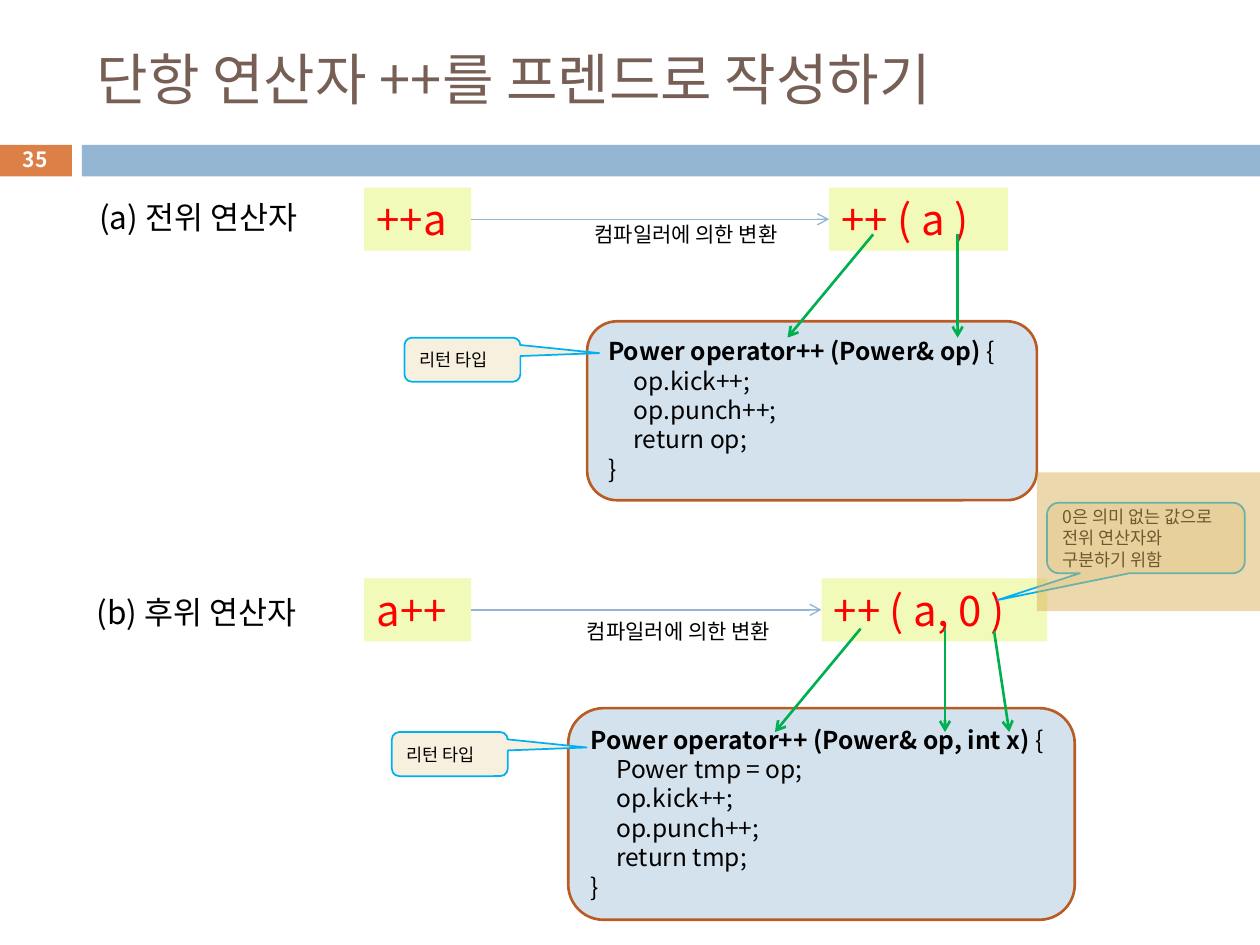
from dataclasses import dataclass

from lxml.etree import SubElement
from pptx import Presentation
from pptx.dml.color import RGBColor
from pptx.enum.shapes import MSO_CONNECTOR as Connector, MSO_SHAPE as Preset
from pptx.enum.text import MSO_ANCHOR as Anchor, PP_ALIGN as Align
from pptx.oxml.ns import qn
from pptx.util import Inches, Pt

FONT = "Noto Sans CJK KR"
BLACK, RED, GREEN, BLUE = "000000", "FF0000", "00B050", "94B6D2"


@dataclass
class Box:
    left: float
    top: float
    width: float
    height: float


@dataclass
class Callout:
    text: str
    box: Box
    tip: tuple[float, float]


@dataclass
class Section:
    label: str
    label_box: Box
    call: str
    call_box: Box
    converted: str
    converted_box: Box
    note_box: Box
    signature: str
    body: list[str]
    code_box: Box
    arrows: list[tuple[float, float, float, float]]
    callout: Callout


def color(value: str) -> RGBColor:
    return RGBColor.from_string(value)


def add_box(slide, box: Box, fill: str, preset=Preset.RECTANGLE, line: str = "", weight: float = 1):
    shape = slide.shapes.add_shape(
        preset, Inches(box.left), Inches(box.top), Inches(box.width), Inches(box.height))
    shape.shadow.inherit = False
    shape.fill.solid()
    shape.fill.fore_color.rgb = color(fill)
    if line:
        shape.line.color.rgb = color(line)
        shape.line.width = Pt(weight)
    else:
        shape.line.fill.background()
    return shape


def add_run(paragraph, text: str, size: float, ink: str, bold: bool = False) -> None:
    run = paragraph.add_run()
    run.text = text
    for name, value in {"name": FONT, "size": Pt(size), "bold": bold}.items():
        setattr(run.font, name, value)
    run.font.color.rgb = color(ink)
    SubElement(run.font._element, qn("a:ea")).set("typeface", FONT)


def set_text(shape, text: str, size: float, ink: str = BLACK, anchor=Anchor.TOP,
             align=Align.LEFT, bold: bool = False) -> None:
    frame = shape.text_frame
    for name, value in {"word_wrap": True, "vertical_anchor": anchor}.items():
        setattr(frame, name, value)
    paragraph = frame.paragraphs[0]
    paragraph.alignment = align
    add_run(paragraph, text, size, ink, bold)


def add_label(slide, box: Box, text: str, size: float, **formats) -> None:
    shape = slide.shapes.add_textbox(
        Inches(box.left), Inches(box.top), Inches(box.width), Inches(box.height))
    set_text(shape, text, size, **formats)


def add_arrow(slide, points: tuple[float, float, float, float], ink: str, weight: float):
    arrow = slide.shapes.add_connector(Connector.STRAIGHT, *map(Inches, points))
    arrow.line.color.rgb = color(ink)
    arrow.line.width = Pt(weight)
    SubElement(arrow.line._get_or_add_ln(), qn("a:tailEnd")).set("type", "arrow")
    SubElement(arrow._element.spPr, qn("a:effectLst"))
    return arrow


def add_code(slide, section: Section) -> None:
    shape = add_box(slide, section.code_box, "D4E2ED", Preset.ROUNDED_RECTANGLE, "B95B22", 1.5)
    set_text(shape, section.signature + " ", 14, bold=True)
    frame = shape.text_frame
    add_run(frame.paragraphs[0], "{", 14, BLACK)
    for statement in [*(f"\t{line}" for line in section.body), "}"]:
        paragraph = frame.add_paragraph()
        paragraph.alignment = Align.LEFT
        stops = SubElement(paragraph._p.get_or_add_pPr(), qn("a:tabLst"))
        SubElement(stops, qn("a:tab"), pos=str(Inches(0.2)), algn="l")
        add_run(paragraph, statement, 14, BLACK)


def add_callout(slide, callout: Callout) -> None:
    shape = add_box(slide, callout.box, "F7F0DE", Preset.ROUNDED_RECTANGULAR_CALLOUT, "00B0F0")
    for index, value in enumerate((*callout.tip, 0.17)):
        shape.adjustments[index] = value
    set_text(shape, callout.text, 10, anchor=Anchor.MIDDLE)


def add_section(slide, section: Section) -> None:
    ends = []
    for text, box in ((section.call, section.call_box), (section.converted, section.converted_box)):
        shape = add_box(slide, box, "F1FAB8")
        set_text(shape, text, 24, RED)
        ends.append(shape)
    conversion = add_arrow(slide, (0, 0, 1, 1), BLUE, 0.79)
    conversion.begin_connect(ends[0], 3)
    conversion.end_connect(ends[1], 1)
    add_code(slide, section)
    add_label(slide, section.note_box, "컴파일러에 의한 변환", 12)
    add_label(slide, section.label_box, section.label, 18)
    add_callout(slide, section.callout)
    for points in section.arrows:
        add_arrow(slide, points, GREEN, 1.5)


SECTIONS = [
    Section(
        "(a) 전위 연산자", Box(0.69, 1.52, 1.93, 0.4),
        "++a", Box(2.89, 1.49, 0.85, 0.5),
        "++ ( a )", Box(6.58, 1.49, 1.42, 0.5),
        Box(4.62, 1.71, 2.06, 0.3),
        "Power operator++ (Power& op)",
        ["op.kick++;", "op.punch++;", "return op;"],
        Box(4.66, 2.55, 3.57, 1.42),
        [(6.93, 1.86, 6.25, 2.68), (7.6, 1.86, 7.6, 2.68)],
        Callout("리턴 타입", Box(3.21, 2.68, 0.92, 0.35), (1.18, -0.15)),
    ),
    Section(
        "(b) 후위 연산자", Box(0.67, 4.66, 1.95, 0.4),
        "a++", Box(2.89, 4.59, 0.85, 0.5),
        "++ ( a, 0 )", Box(6.52, 4.59, 1.79, 0.5),
        Box(4.56, 4.86, 2.06, 0.3),
        "Power operator++ (Power& op, int x)",
        ["Power tmp = op;", "op.kick++;", "op.punch++;", "return tmp;"],
        Box(4.51, 5.62, 4.02, 1.68),
        [(6.83, 4.99, 6.15, 5.81), (7.5, 4.99, 7.5, 5.81), (7.89, 5.01, 8.01, 5.81)],
        Callout("리턴 타입", Box(3.11, 5.81, 0.92, 0.35), (1.18, -0.15)),
    ),
]


def main() -> None:
    presentation = Presentation()
    presentation.slide_width, presentation.slide_height = Inches(10), Inches(7.5)
    slide = presentation.slides.add_slide(presentation.slide_layouts[6])
    add_box(slide, Box(-0.01, 1.15, 0.58, 0.25), "DD8047")
    add_box(slide, Box(0.65, 1.15, 9.35, 0.25), BLUE)
    add_label(slide, Box(0.67, 0.25, 8.92, 0.74), "단항 연산자 ++를 프렌드로 작성하기", 32,
              ink="775F55", anchor=Anchor.MIDDLE)
    add_label(slide, Box(-0.01, 1.13, 0.58, 0.27), "35", 12, ink="FFFFFF",
              anchor=Anchor.MIDDLE, align=Align.CENTER, bold=True)
    for section in SECTIONS:
        add_section(slide, section)
    add_callout(slide, Callout("0은 의미 없는 값으로 전위 연산자와 구분하기 위함",
                               Box(8.31, 3.99, 1.57, 0.56), (-0.75, 0.88)))
    veil = add_box(slide, Box(8.23, 3.75, 1.81, 1.1), "D8B25C")
    tint = veil._element.spPr.find(qn("a:solidFill"))[0]
    SubElement(tint, qn("a:alpha")).set("val", "50000")
    presentation.save("out.pptx")


if __name__ == "__main__":
    main()
